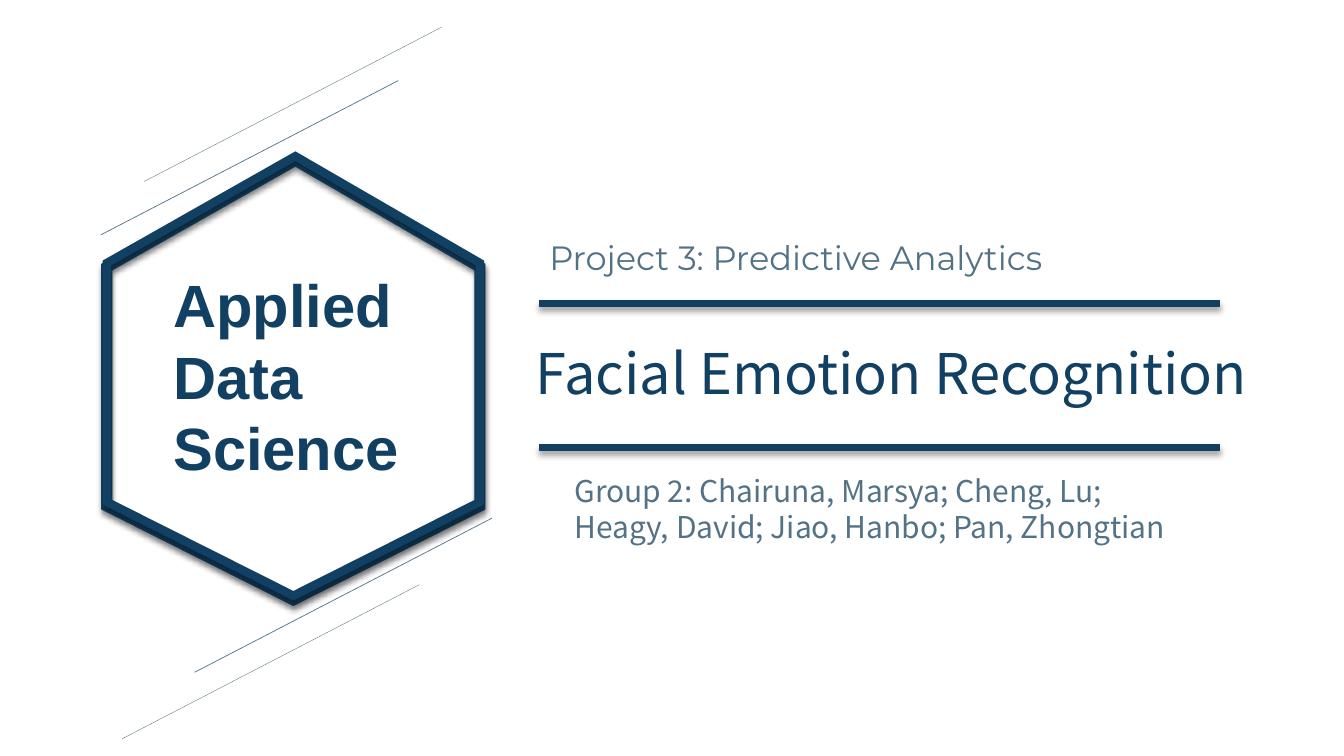
import pptx
import pptx.util
import pptx.dml.color
import pptx.enum.text
import pptx.oxml
import pptx.oxml.ns
from pptx.util import Inches, Pt

INK = {"navy": "124062", "slate": "537285", "black": "000000"}
NS = pptx.oxml.ns.nsdecls("a")
SANS = "Noto Sans CJK SC"


def paint(line, tone, width):
    """Set the colour and width of a line."""
    line.color.rgb = pptx.dml.color.RGBColor.from_string(INK[tone])
    line.width = Pt(width)


def shade(shape, cast):
    """Give a shape a soft drop shadow, or none."""
    drop = (f'<a:outerShdw blurRad="{Pt(4)}" dist="{Pt(3)}" dir="5400000" '
            f'algn="t" rotWithShape="0"><a:srgbClr val="{INK["black"]}">'
            '<a:alpha val="40000"/></a:srgbClr></a:outerShdw>') if cast else ""
    xml = f"<a:effectLst {NS}>{drop}</a:effectLst>"
    shape._element.spPr.append(pptx.oxml.parse_xml(xml))


def rule(slide, x, y, dx, dy, tone, width, cast=False):
    """Draw a straight line from a point by an offset."""
    line = slide.shapes.add_connector(
        1, Inches(x), Inches(y), Inches(x + dx), Inches(y + dy))
    paint(line.line, tone, width)
    shade(line, cast)


def write(shape, box, text, font, size, tone, bold=False):
    """Place a text shape in its box and format its words."""
    shape.left, shape.top, shape.width, shape.height = map(Inches, box)
    frame = shape.text_frame
    frame.text = text
    frame.word_wrap = True
    frame.auto_size = pptx.enum.text.MSO_AUTO_SIZE.NONE
    frame.vertical_anchor = pptx.enum.text.MSO_ANCHOR.TOP
    para = frame.paragraphs[0]
    para.alignment = pptx.enum.text.PP_ALIGN.LEFT
    para.line_spacing = Pt(round(size * 1.2, 1))
    para.space_before = Pt(0)
    run = para.runs[0].font
    run.name, run.size, run.bold = font, Pt(size), bold
    run.color.rgb = pptx.dml.color.RGBColor.from_string(INK[tone])


def label(slide, *args, **more):
    """Add a text box and write in it."""
    write(slide.shapes.add_textbox(0, 0, 0, 0), *args, **more)


def hexagon(slide, x, y, width):
    """Outline the badge from its top left corner."""
    spots = [(1.87, 0), (3.7, 1.06), (3.7, 3.43),
             (1.85, 4.36), (0, 3.43), (0, 1.06)]
    spots = [(Inches(x + a), Inches(y + b)) for a, b in spots]
    pen = slide.shapes.build_freeform(*spots[0])
    pen.add_line_segments(spots[1:], close=True)
    shape = pen.convert_to_shape()
    shape.fill.background()
    paint(shape.line, "navy", width)
    miter = pptx.oxml.parse_xml(f'<a:miter {NS} lim="800000"/>')
    shape.line._get_or_add_ln().append(miter)
    shade(shape, True)


def badge(slide, x, y):
    """Draw the hexagon, its slanted lines and the course name."""
    for dy, width in ((0.04, 8), (0, 6)):
        hexagon(slide, x, y + dy, width)
    for dx, dy, width in ((0.87, 5.12, 0.5), (0.15, 5.78, 0.25),
                          (-0.06, 0.78, 0.5), (0.37, 0.25, 0.25)):
        rule(slide, x + dx, y + dy, 2.95, -1.53, "slate", width)
    label(slide, (x + 0.56, y + 1.06, 2.89, 2.25), "Applied Data Science",
          "Arial", 42.6, "navy", bold=True)


def heading(slide, x, y):
    """Set the project, title and group between two rules."""
    label(slide, (x, y, 5.93, 0.5), "Project 3: Predictive Analytics",
          "Montserrat", 24, "slate")
    for dy in (0.71, 2.14):
        rule(slide, x, y + dy, 6.75, 0, "navy", 4.5, True)
    write(slide.shapes.title, (x - 0.14, y + 1.01, 7.73, 0.77),
          "Facial Emotion Recognition", SANS, 40, "navy")
    label(slide, (x + 0.25, y + 2.34, 6.2, 0.82),
          "Group 2: Chairuna, Marsya; Cheng, Lu; "
          "Heagy, David; Jiao, Hanbo; Pan, Zhongtian", SANS, 21.4, "slate")


def main():
    """Build the cover slide and save it."""
    deck = pptx.Presentation()
    deck.slide_width, deck.slide_height = Inches(13.33), Inches(7.5)
    slide = deck.slides.add_slide(deck.slide_layouts[5])
    badge(slide, 1.06, 1.55)
    heading(slide, 5.35, 2.3)
    deck.save("out.pptx")


if __name__ == "__main__":
    main()
